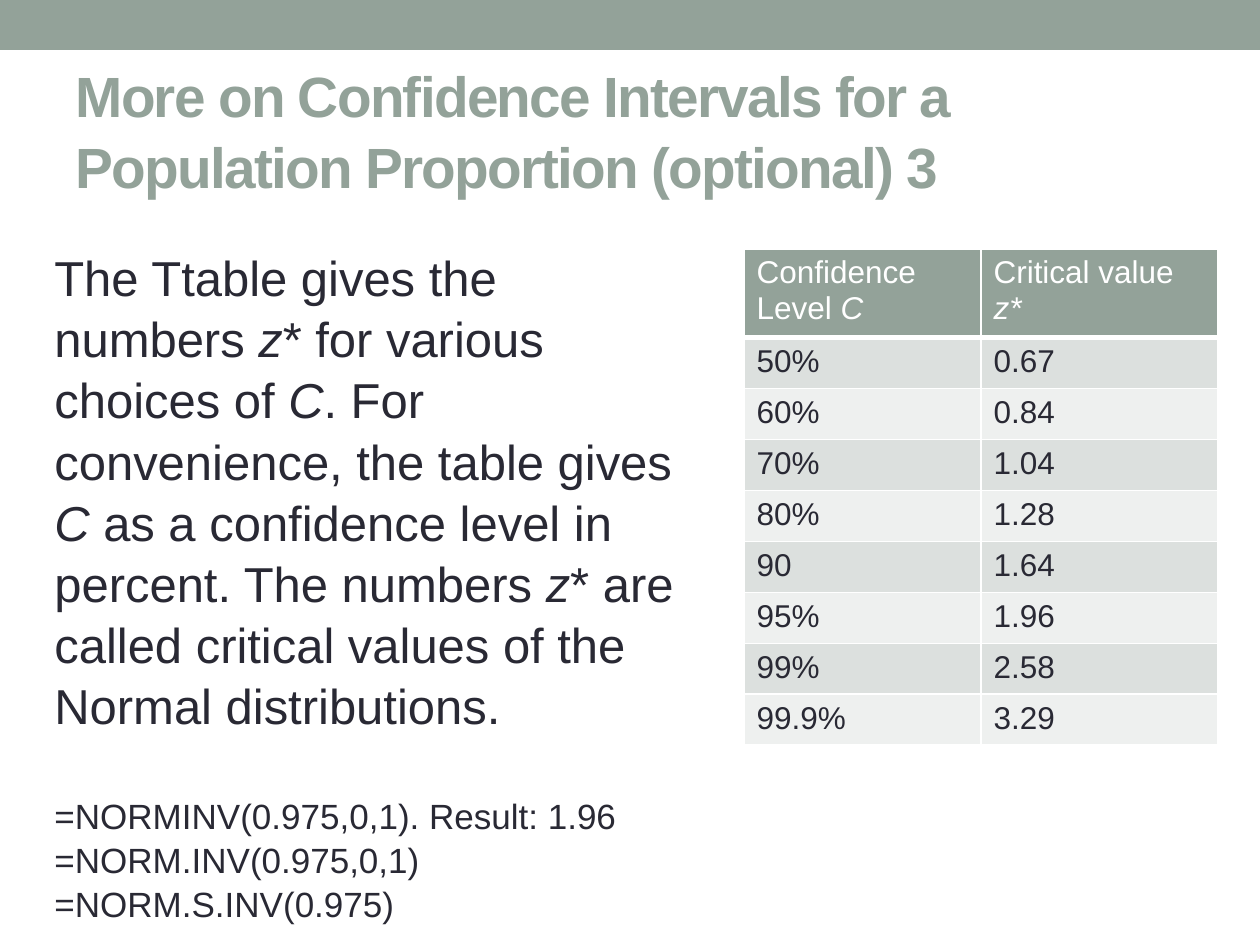
from lxml import etree
from pptx import Presentation
from pptx.dml.color import RGBColor
from pptx.enum.shapes import MSO_SHAPE
from pptx.enum.text import MSO_ANCHOR, MSO_AUTO_SIZE, PP_ALIGN
from pptx.oxml.ns import qn
from pptx.util import Pt

RECTANGLE = MSO_SHAPE.RECTANGLE
MIDDLE = MSO_ANCHOR.MIDDLE
NO_AUTOFIT = MSO_AUTO_SIZE.NONE
LEFT = PP_ALIGN.LEFT

SAGE = RGBColor(0x93, 0xA2, 0x99)
INK = RGBColor(0x29, 0x29, 0x34)
WHITE = RGBColor(0xFF, 0xFF, 0xFF)
BANDS = (RGBColor(0xDC, 0xE0, 0xDE), RGBColor(0xEE, 0xF0, 0xEF))

FONT = "Arial"
LINE_SPACING = 1.04
EMU_PER_PX = 914400 / 126
TITLE_LAYOUT = 5

TITLE = "More on Confidence Intervals for a Population Proportion (optional) 3"
# Every second part between bars is italic
EXPLANATION = (
    "The Ttable gives the numbers |z|* for various choices of |C|. "
    "For convenience, the table gives |C| as a confidence level in percent. "
    "The numbers |z|* are called critical values of the Normal distributions."
)
FORMULAS = (
    "=NORMINV(0.975,0,1). Result: 1.96",
    "=NORM.INV(0.975,0,1)",
    "=NORM.S.INV(0.975)",
)
CRITICAL_VALUES = (
    ("Confidence Level |C", "Critical value |z*"),
    ("50%", "0.67"),
    ("60%", "0.84"),
    ("70%", "1.04"),
    ("80%", "1.28"),
    ("90", "1.64"),
    ("95%", "1.96"),
    ("99%", "2.58"),
    ("99.9%", "3.29"),
)


def px(length):
    return round(length * EMU_PER_PX)


def write(paragraph, text, size, color, bold=False):
    """Write text whose parts between bars alternate regular and italic."""
    paragraph.alignment = LEFT
    for index, part in enumerate(text.split("|")):
        run = paragraph.add_run()
        run.text = part
        font = run.font
        font.name, font.size, font.bold = FONT, Pt(size), bold
        font.italic = index % 2 == 1
        font.color.rgb = color


def add_top_bar(slide, left, top, width, height):
    bar = slide.shapes.add_shape(RECTANGLE, px(left), px(top), px(width), px(height))
    bar.shadow.inherit = False
    bar.fill.solid()
    bar.fill.fore_color.rgb = SAGE
    bar.line.fill.background()


def place_title(slide, left, top, width, height):
    title = slide.shapes.title
    title.left, title.top = px(left), px(top)
    title.width, title.height = px(width), px(height)
    frame = title.text_frame
    frame.word_wrap = True
    frame.auto_size = NO_AUTOFIT
    frame.vertical_anchor = MIDDLE
    paragraph = frame.paragraphs[0]
    paragraph.line_spacing = LINE_SPACING
    write(paragraph, TITLE, 32.4, SAGE, bold=True)
    # Letter spacing in hundredths of a point
    for run in paragraph.runs:
        run.font._element.set("spc", "-100")


def add_explanation(slide, left, top, width, height):
    box = slide.shapes.add_textbox(px(left), px(top), px(width), px(height))
    frame = box.text_frame
    frame.word_wrap = True
    write(frame.paragraphs[0], EXPLANATION, 28, INK)
    for index, formula in enumerate(FORMULAS):
        paragraph = frame.add_paragraph()
        write(paragraph, formula, 20, INK)
        if index == 0:
            paragraph.space_before = Pt(33.5)
    for paragraph in frame.paragraphs:
        paragraph.line_spacing = LINE_SPACING


def set_borders(cell, bottom_width):
    properties = cell._tc.get_or_add_tcPr()
    for side, width in (("L", 1), ("R", 1), ("T", 1), ("B", bottom_width)):
        line = etree.SubElement(properties, qn(f"a:ln{side}"), w=str(Pt(width)))
        fill = etree.SubElement(line, qn("a:solidFill"))
        etree.SubElement(fill, qn("a:srgbClr"), val=str(WHITE))


def add_value_table(slide, left, top, width, header_height, row_height):
    row_count, column_count = len(CRITICAL_VALUES), len(CRITICAL_VALUES[0])
    height = header_height + row_height * (row_count - 1)
    table = slide.shapes.add_table(
        row_count, column_count, px(left), px(top), px(width), px(height)
    ).table
    for column in table.columns:
        column.width = px(width / column_count)
    for row_index, values in enumerate(CRITICAL_VALUES):
        is_header = row_index == 0
        table.rows[row_index].height = px(header_height if is_header else row_height)
        for column_index, text in enumerate(values):
            cell = table.cell(row_index, column_index)
            set_borders(cell, 3 if is_header else 1)
            cell.fill.solid()
            cell.fill.fore_color.rgb = SAGE if is_header else BANDS[(row_index - 1) % 2]
            write(cell.text_frame.paragraphs[0], text, 18, WHITE if is_header else INK)


def main():
    presentation = Presentation()
    presentation.slide_width, presentation.slide_height = px(1260), px(945)
    slide = presentation.slides.add_slide(presentation.slide_layouts[TITLE_LAYOUT])
    add_top_bar(slide, 0, 0, 1260, 50)
    place_title(slide, 63, 50, 1134, 158)
    add_explanation(slide, 42, 239, 667, 674)
    add_value_table(slide, 744, 249, 474, 87, 51)
    presentation.save("out.pptx")


if __name__ == "__main__":
    main()
